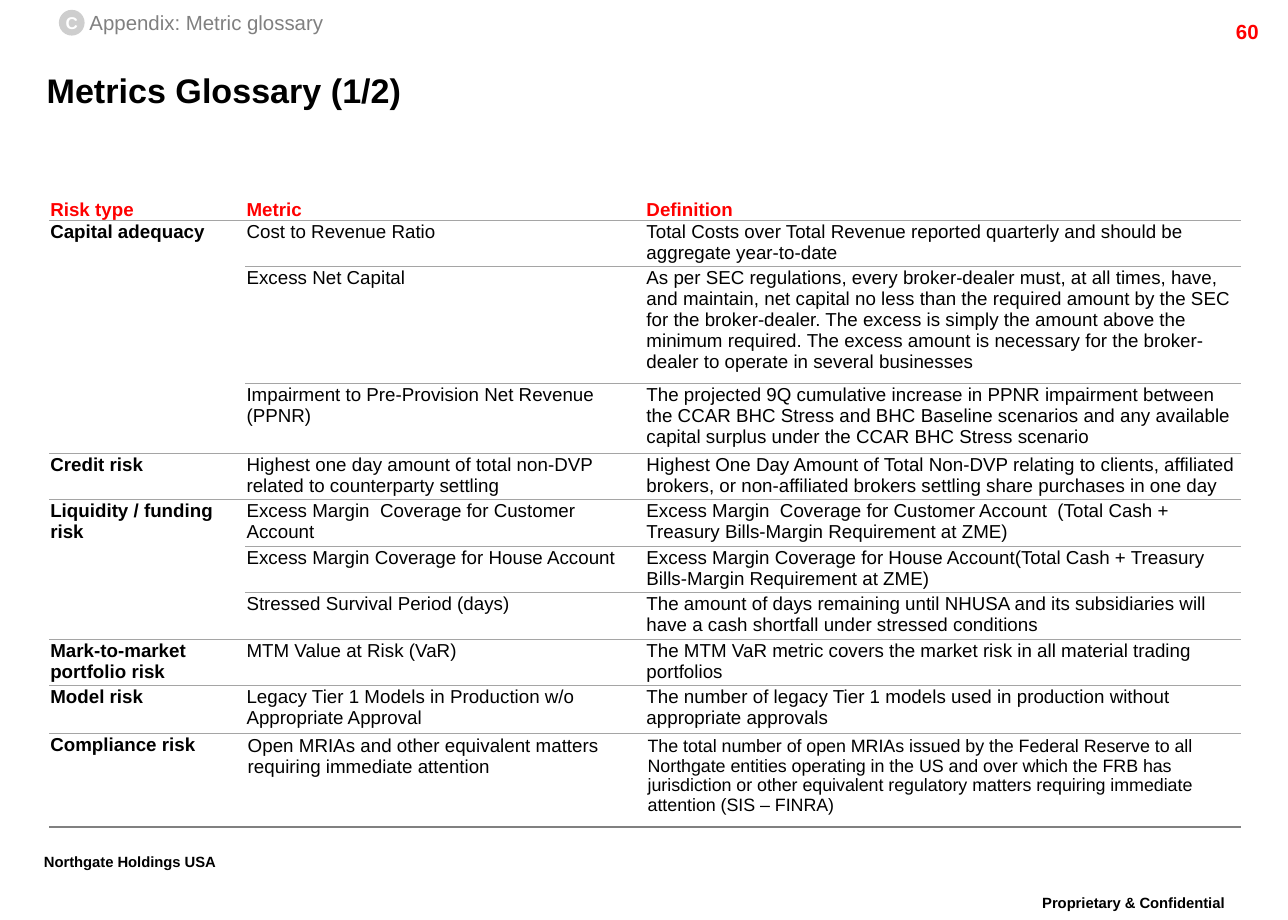
from lxml import etree
from pptx import Presentation
from pptx.dml.color import RGBColor
from pptx.enum.shapes import MSO_SHAPE
from pptx.enum.text import MSO_ANCHOR, MSO_AUTO_SIZE, PP_ALIGN
from pptx.oxml.ns import qn
from pptx.util import Inches, Pt

W, H = Inches(10.5), Inches(7.5)
LEFT, CENTER, RIGHT = PP_ALIGN.LEFT, PP_ALIGN.CENTER, PP_ALIGN.RIGHT
TOP, MIDDLE, BOTTOM = MSO_ANCHOR.TOP, MSO_ANCHOR.MIDDLE, MSO_ANCHOR.BOTTOM
NO_AUTOFIT, OVAL = MSO_AUTO_SIZE.NONE, MSO_SHAPE.OVAL

BLACK = RGBColor(0x00, 0x00, 0x00)
WHITE = RGBColor(0xFF, 0xFF, 0xFF)
RED = RGBColor(0xFF, 0x00, 0x00)
GREY = RGBColor(0x80, 0x80, 0x80)
RULE_GREY = RGBColor(0xA5, 0xA5, 0xA5)
BADGE_GREY = RGBColor(0xCE, 0xCE, 0xCE)

FONT = "Arial"
PLAIN_TABLE = "{2D5ABB26-0587-4C30-8999-92F81FD0307C}"
COLUMNS = (15.24, 31.05, 46.29)
ROWS = (2.6, 5.07, 12.67, 7.6, 5.07, 5.07, 4.93, 5.07, 5.07, 5.2, 10.13)

HEADINGS = ("Risk type", "Metric", "Definition")
GLOSSARY = [
    ("Capital adequacy", [
        ("Cost to Revenue Ratio",
         "Total Costs over Total Revenue reported quarterly and should be "
         "aggregate year-to-date"),
        ("Excess Net Capital",
         "As per SEC regulations, every broker-dealer must, at all times, have, "
         "and maintain, net capital no less than the required amount by the SEC "
         "for the broker-dealer. The excess is simply the amount above the "
         "minimum required. The excess amount is necessary for the "
         "broker-dealer to operate in several businesses"),
        ("Impairment to Pre-Provision Net Revenue (PPNR)",
         "The projected 9Q cumulative increase in PPNR impairment between the "
         "CCAR BHC Stress and BHC Baseline scenarios and any available capital "
         "surplus under the CCAR BHC Stress scenario"),
    ]),
    ("Credit risk", [
        ("Highest one day amount of total non-DVP related to counterparty settling",
         "Highest One Day Amount of Total Non-DVP relating to clients, "
         "affiliated brokers, or non-affiliated brokers settling share "
         "purchases in one day"),
    ]),
    ("Liquidity / funding risk", [
        ("Excess Margin  Coverage for Customer Account",
         "Excess Margin  Coverage for Customer Account  (Total Cash + Treasury "
         "Bills-Margin Requirement at ZME)"),
        ("Excess Margin Coverage for House Account",
         "Excess Margin Coverage for House Account(Total Cash + Treasury "
         "Bills-Margin Requirement at ZME)"),
        ("Stressed Survival Period (days)",
         "The amount of days remaining until NHUSA and its subsidiaries will "
         "have a cash shortfall under stressed conditions"),
    ]),
    ("Mark-to-market portfolio risk", [
        ("MTM Value at Risk (VaR)",
         "The MTM VaR metric covers the market risk in all material trading "
         "portfolios"),
    ]),
    ("Model risk", [
        ("Legacy Tier 1 Models in Production w/o Appropriate Approval",
         "The number of legacy Tier 1 models used in production without "
         "appropriate approvals"),
    ]),
    ("Compliance risk", [
        ("Open MRIAs and other equivalent matters requiring immediate attention",
         "The total number of open MRIAs issued by the Federal Reserve to all "
         "Northgate entities operating in the US and over which the FRB has "
         "jurisdiction or other equivalent regulatory matters requiring "
         "immediate attention (SIS – FINRA)"),
    ]),
]


def area(x, y, w, h):
    """Turn percentages of the slide into left, top, width and height."""
    return int(W * x / 100), int(H * y / 100), int(W * w / 100), int(H * h / 100)


def write(tf, text, size, color, bold=False, align=LEFT):
    """Write one formatted paragraph and return it."""
    p = tf.paragraphs[0]
    p.text = text
    p.alignment = align
    f = p.font
    f.name, f.size, f.bold = FONT, Pt(size), bold
    f.color.rgb = color
    return p


def clear_insets(tf):
    """Remove the inner margins of a text frame and centre it vertically."""
    tf.margin_left = tf.margin_right = tf.margin_top = tf.margin_bottom = 0
    tf.vertical_anchor = MIDDLE


def add_title(s, text):
    """Place and format the title placeholder."""
    sp = s.shapes.title
    sp.left, sp.top, sp.width, sp.height = area(3.62, 6.53, 90.29, 6.4)
    tf = sp.text_frame
    tf.auto_size = NO_AUTOFIT
    clear_insets(tf)
    write(tf, text, 20, BLACK, True)


def add_text(s, place, text, size, color, bold=False, align=LEFT, wrap=True):
    """Add a text box and return its text frame."""
    tf = s.shapes.add_textbox(*area(*place)).text_frame
    tf.word_wrap = wrap
    write(tf, text, size, color, bold, align)
    return tf


def add_footer(s, place, text, align):
    """Add a raised footer line."""
    p = add_text(s, place, text, 15, BLACK, True, align).paragraphs[0]
    p.line_spacing = 0.86
    p.runs[0]._r.get_or_add_rPr().set("baseline", "30000")


def add_section_tag(s, letter, text):
    """Add the lettered badge and the section name."""
    sp = s.shapes.add_shape(OVAL, *area(4.57, 1.07, 2, 2.8))
    sp.shadow.inherit = False
    sp.fill.solid()
    sp.fill.fore_color.rgb = BADGE_GREY
    sp.line.fill.background()
    tf = sp.text_frame
    tf.word_wrap = False
    clear_insets(tf)
    write(tf, letter, 10, WHITE, True, CENTER)
    clear_insets(add_text(s, (6.95, 1.07, 18.29, 2.67), text, 12, GREY, wrap=False))


def add_rule(cell, side, color, width):
    """Draw one horizontal border of a cell."""
    ln = etree.SubElement(cell._tc.get_or_add_tcPr(), qn("a:" + side), w=str(Pt(width)))
    fill = etree.SubElement(ln, qn("a:solidFill"))
    etree.SubElement(fill, qn("a:srgbClr"), val=str(color))


def fill_cell(cell, text, size=11, color=BLACK, bold=False, inset=0.01, anchor=TOP):
    """Write a table cell with tight margins and no fill."""
    cell.margin_left = cell.margin_right = cell.margin_top = Inches(inset)
    cell.margin_bottom = 0
    cell.vertical_anchor = anchor
    write(cell.text_frame, text, size, color, bold)
    cell.fill.background()


def add_glossary(s):
    """Add the glossary table, merging each risk type over its metrics."""
    place = area(3.81, 21.33, sum(COLUMNS), sum(ROWS))
    table = s.shapes.add_table(len(ROWS), len(COLUMNS), *place).table
    table.first_row = table.horz_banding = False
    table._tbl.tblPr.find(qn("a:tableStyleId")).text = PLAIN_TABLE
    for column, share in zip(table.columns, COLUMNS):
        column.width = int(W * share / 100)
    for row, share in zip(table.rows, ROWS):
        row.height = int(H * share / 100)
    for c, heading in enumerate(HEADINGS):
        add_rule(table.cell(0, c), "lnB", RULE_GREY, 0.75)
        fill_cell(table.cell(0, c), heading, color=RED, bold=True, anchor=BOTTOM)
    r, last = 1, len(ROWS) - 1
    for risk, metrics in GLOSSARY:
        if len(metrics) > 1:
            table.cell(r, 0).merge(table.cell(r + len(metrics) - 1, 0))
        for i, (metric, definition) in enumerate(metrics):
            for c, text in enumerate((risk, metric, definition)):
                if c == 0 and i > 0:
                    continue
                cell = table.cell(r, c)
                add_rule(cell, "lnT", RULE_GREY, 0.75)
                if r == last:
                    add_rule(cell, "lnB", GREY, 1)
                fill_cell(cell, text, size=10.5 if r == last and c == 2 else 11,
                          bold=c == 0, inset=0.02 if r == last and c else 0.01)
            r += 1


def main():
    """Build the metrics glossary slide."""
    prs = Presentation()
    prs.slide_width, prs.slide_height = W, H
    s = prs.slides.add_slide(prs.slide_layouts[5])
    add_footer(s, (77.62, 96.67, 20.76, 3.33), "Proprietary & Confidential", CENTER)
    add_footer(s, (2.48, 92.13, 18.19, 4.67), "Northgate Holdings USA", LEFT)
    add_text(s, (89.14, 1.47, 9.52, 3.2), "60", 12, RED, True, RIGHT)
    add_glossary(s)
    add_title(s, "Metrics Glossary (1/2)")
    add_section_tag(s, "C", "Appendix: Metric glossary")
    prs.save("out.pptx")


if __name__ == "__main__":
    main()
